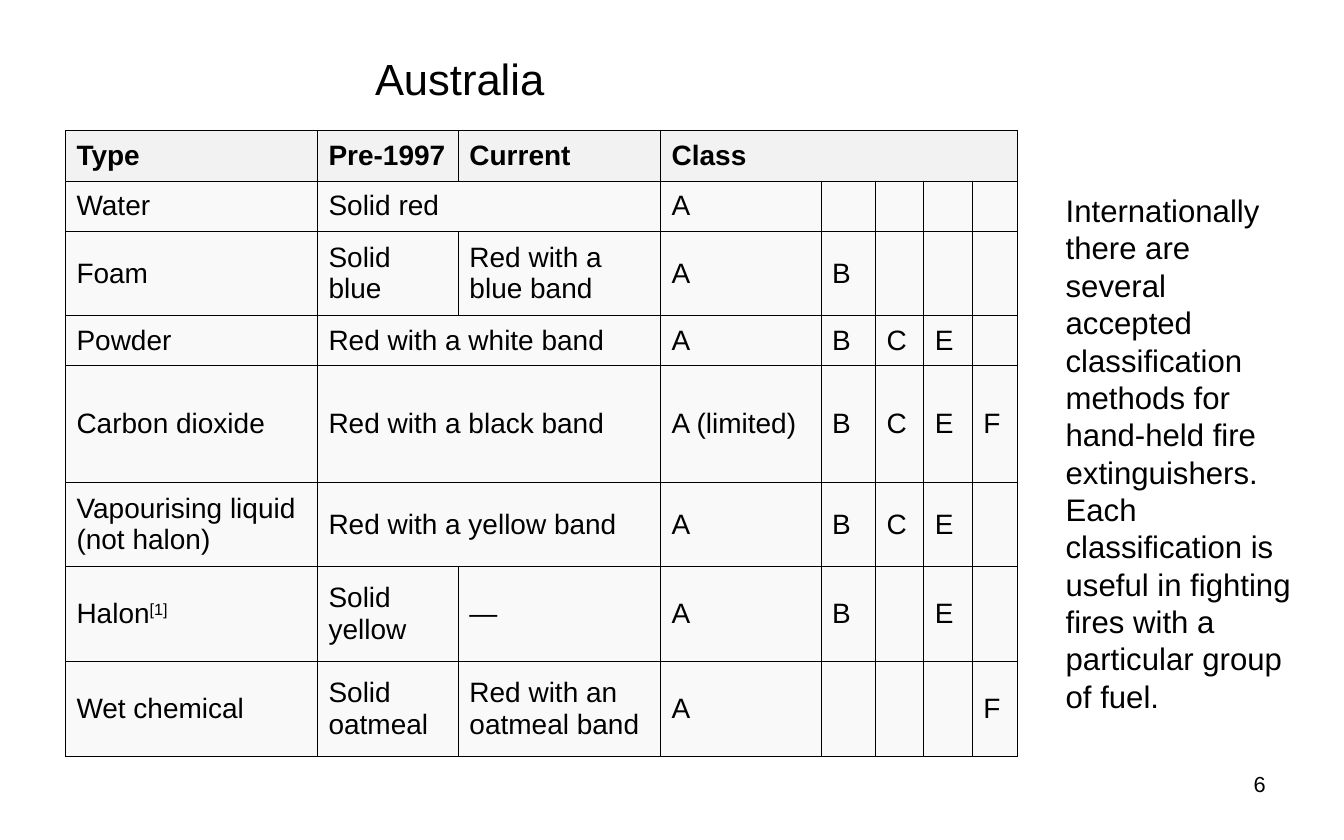
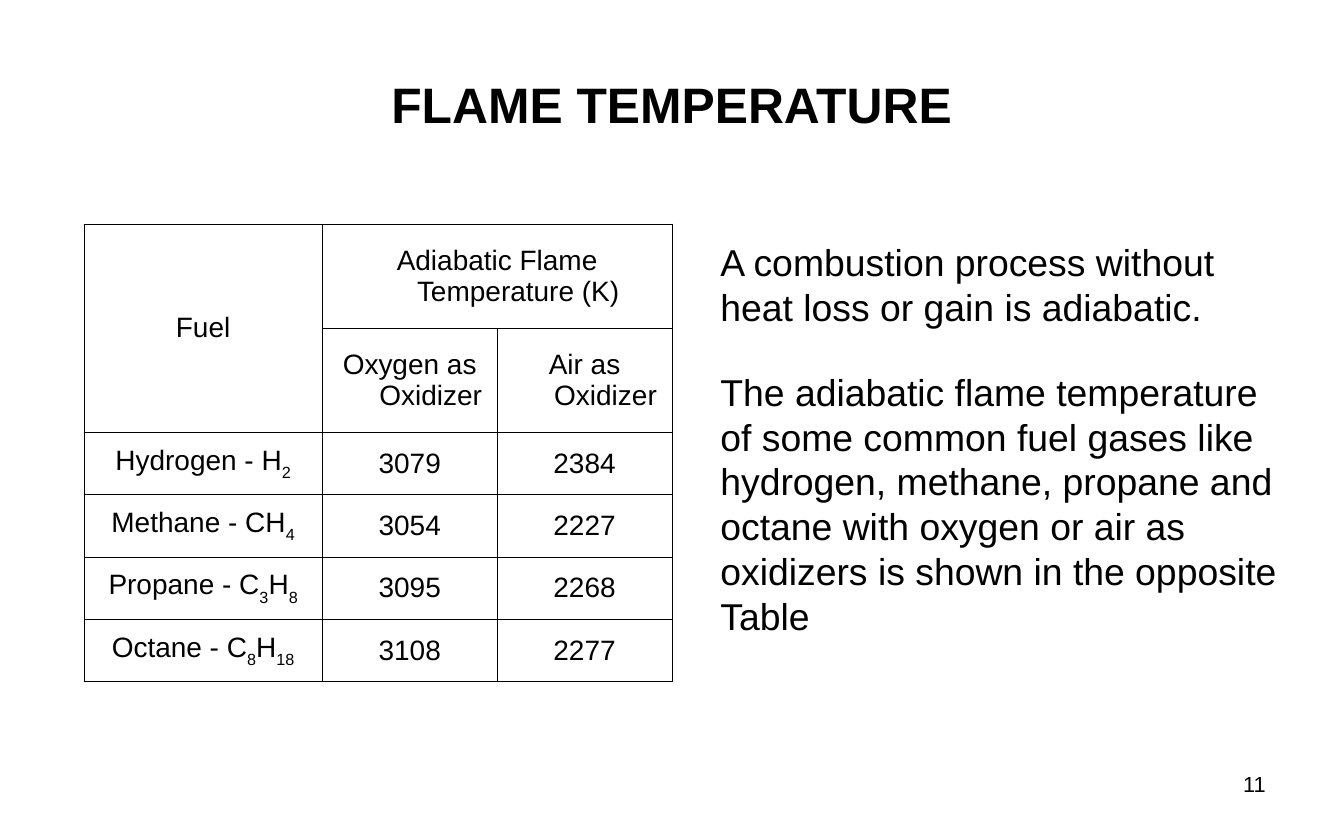
from dataclasses import dataclass
from itertools import product
from lxml.etree import SubElement
from pptx import Presentation
from pptx.dml.color import RGBColor
from pptx.enum.shapes import MSO_SHAPE
from pptx.enum.text import MSO_ANCHOR, PP_ALIGN
from pptx.oxml.ns import qn
from pptx.util import Pt


@dataclass(frozen=True)
class Theme:
    face: str = "Arial"
    ink: str = "000000"
    head: str = "F2F2F2"
    body: str = "F9F9F9"
    title: int = 28
    banner: int = 32
    lead: int = 24
    note: int = 20
    cell: int = 18
    foot: int = 14
    rule: float = 0.45


THEME = Theme()

CLASSES = [
    ["Type", "Pre-1997", "Current", "Class", "", "", "", ""],
    ["Water", "Solid red", "", "A", "", "", "", ""],
    ["Foam", "Solid blue", "Red with a blue band", "A", "B", "", "", ""],
    ["Powder", "Red with a white band", "", "A", "B", "C", "E", ""],
    ["Carbon dioxide", "Red with a black band", "", "A (limited)", "B", "C", "E", "F"],
    ["Vapourising liquid (not halon)", "Red with a yellow band", "", "A", "B", "C", "E", ""],
    ["Halon|[1]", "Solid yellow", "—", "A", "B", "", "E", ""],
    ["Wet chemical", "Solid oatmeal", "Red with an oatmeal band", "A", "", "", "", "F"],
]

FLAMES = [
    ["Fuel", "Adiabatic Flame Temperature (K)", ""],
    ["", "Oxygen as Oxidizer", "Air as Oxidizer"],
    ["Hydrogen - H|2", "3079", "2384"],
    ["Methane - CH|4", "3054", "2227"],
    ["Propane - C|3|H|8", "3095", "2268"],
    ["Octane - C|8|H|18", "3108", "2277"],
]

NOTE = (
    "Internationally there are several accepted classification methods for "
    "hand-held fire extinguishers. Each classification is useful in fighting "
    "fires with a particular group of fuel."
)
LEAD = [
    "A combustion process without heat loss or gain is adiabatic.",
    "The adiabatic flame temperature of some common fuel gases like hydrogen, "
    "methane, propane and octane with oxygen or air as oxidizers is shown in "
    "the opposite Table",
]


def style(para, size, bold=False, align=PP_ALIGN.LEFT):
    para.alignment = align
    font = para.font
    font.name, font.size, font.bold = THEME.face, Pt(size), bold
    font.color.rgb = RGBColor.from_string(THEME.ink)


def paint(fill, shade):
    fill.solid()
    fill.fore_color.rgb = RGBColor.from_string(shade)


def add_band(slide, box, shade):
    band = slide.shapes.add_shape(MSO_SHAPE.RECTANGLE, *map(Pt, box))
    band.shadow.inherit = False
    band.line.fill.background()
    paint(band.fill, shade)


def add_text(slide, box, texts, size, bold=False, align=PP_ALIGN.LEFT,
             anchor=MSO_ANCHOR.TOP, wrap=True, gap=0):
    frame = slide.shapes.add_textbox(*map(Pt, box)).text_frame
    frame.word_wrap = wrap
    frame.vertical_anchor = anchor
    for index, text in enumerate(texts):
        para = frame.add_paragraph() if index else frame.paragraphs[0]
        para.text = text
        if index:
            para.space_before = Pt(gap)
        style(para, size, bold, align)


def add_page(slide, number):
    add_text(slide, (619.2, 491.8, 201.6, 37.4), [str(number)], THEME.foot,
             align=PP_ALIGN.RIGHT)


def add_rules(cell):
    props = cell._tc.get_or_add_tcPr()
    for side in ("lnL", "lnR", "lnT", "lnB"):
        line = SubElement(props, qn(f"a:{side}"), w=str(Pt(THEME.rule)))
        fill = SubElement(line, qn("a:solidFill"))
        SubElement(fill, qn("a:srgbClr"), val=THEME.ink)


def set_cell(cell, text, shift, bold, align, hang):
    para = cell.text_frame.paragraphs[0]
    for index, part in enumerate(text.split("|")):
        run = para.add_run()
        run.text = part
        if index % 2:
            run.font._element.set("baseline", str(shift * 1000))
    if hang:
        props = para._p.get_or_add_pPr()
        props.set("marL", str(Pt(hang)))
        props.set("indent", str(-Pt(hang)))
    style(para, THEME.cell, bold, align)


def add_grid(slide, spot, cols, rows, data, spans, shift, fills=None,
             align=PP_ALIGN.LEFT, hang=0):
    frame = slide.shapes.add_table(
        len(rows), len(cols), *map(Pt, (*spot, sum(cols), sum(rows))))
    table = frame.table
    table.first_row = table.horz_banding = False
    for col, width in zip(table.columns, cols):
        col.width = Pt(width)
    for row, height in zip(table.rows, rows):
        row.height = Pt(height)
    for r, c in product(range(len(rows)), range(len(cols))):
        cell = table.cell(r, c)
        cell.vertical_anchor = MSO_ANCHOR.MIDDLE
        add_rules(cell)
        if fills:
            paint(cell.fill, fills[r > 0])
        else:
            cell.fill.background()
        if data[r][c]:
            set_cell(cell, data[r][c], shift, bool(fills) and r == 0, align, hang)
    for start, end in spans:
        table.cell(*start).merge(table.cell(*end))


def add_class(slide):
    add_band(slide, (0, 136, 864, 0), THEME.body)
    spans = [((0, 3), (0, 7))] + [((r, 1), (r, 2)) for r in (1, 3, 4, 5)]
    add_grid(slide, (42, 84), (162, 90.6, 130, 103.2, 35, 31, 31.2, 29.2),
             (32.4, 32.4, 54, 32.2, 75.2, 54, 61, 61), CLASSES, spans, 30,
             fills=(THEME.head, THEME.body))
    add_text(slide, (234, 30.2, 123.1, 41), ["Australia"], THEME.title, wrap=False)
    add_text(slide, (678, 119.5, 162, 343.4), [NOTE], THEME.note,
             anchor=MSO_ANCHOR.MIDDLE)
    add_page(slide, 6)


def add_flame(slide):
    add_text(slide, (43.2, 21.6, 777.6, 90), ["FLAME TEMPERATURE"], THEME.banner,
             True, PP_ALIGN.CENTER, MSO_ANCHOR.MIDDLE)
    add_text(slide, (456, 150, 372, 356), LEAD, THEME.lead, gap=26)
    add_grid(slide, (54, 144), (153.2, 112.4, 112.4), [66.9] * 2 + [40.1] * 4,
             FLAMES, [((0, 0), (1, 0)), ((0, 1), (0, 2))], -30,
             align=PP_ALIGN.CENTER, hang=27)
    add_page(slide, 11)


def main():
    deck = Presentation()
    deck.slide_width, deck.slide_height = Pt(864), Pt(540)
    for build in (add_class, add_flame):
        build(deck.slides.add_slide(deck.slide_layouts[6]))
    deck.save("out.pptx")


if __name__ == "__main__":
    main()
